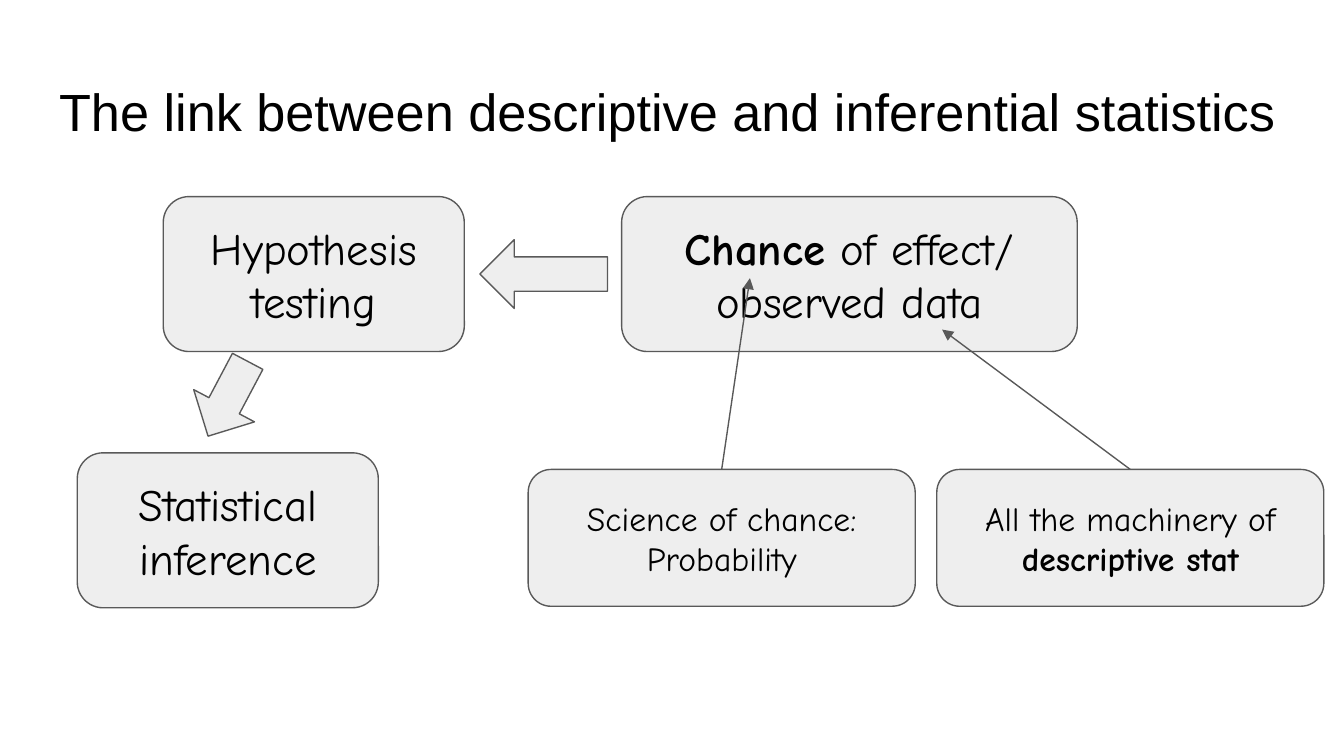
import pptx
import pptx.dml.color
import pptx.enum.shapes
import pptx.enum.text
import pptx.oxml.ns
import pptx.util
import lxml.etree

BLACK = pptx.dml.color.RGBColor(0x00, 0x00, 0x00)
PALE_GREY = pptx.dml.color.RGBColor(0xEE, 0xEE, 0xEE)
DARK_GREY = pptx.dml.color.RGBColor(0x59, 0x59, 0x59)
WHITE = pptx.dml.color.RGBColor(0xFF, 0xFF, 0xFF)
MARGIN = pptx.util.Inches(0.1)
OUTLINE = pptx.util.Pt(0.75)

deck = pptx.Presentation()
deck.slide_width = pptx.util.Inches(10)
deck.slide_height = deck.slide_width * 9 // 16
COLUMN = deck.slide_width / 100
ROW = deck.slide_height / 100

slide = deck.slides.add_slide(deck.slide_layouts[5])
slide.background.fill.solid()
slide.background.fill.fore_color.rgb = WHITE


def on_grid(column, row, columns, rows):
    return [int(n) for n in (column * COLUMN, row * ROW, columns * COLUMN, rows * ROW)]


def add_grey_shape(preset, cell):
    grey = slide.shapes.add_shape(preset, *on_grid(*cell))
    grey.shadow.inherit = False
    grey.fill.solid()
    grey.fill.fore_color.rgb = PALE_GREY
    grey.line.color.rgb = DARK_GREY
    grey.line.width = OUTLINE
    return grey


heading = slide.shapes.title
heading.left, heading.top, heading.width, heading.height = on_grid(3.4, 8.65, 93.2, 11.2)
heading_text = heading.text_frame
heading_text.text = "The link between descriptive and inferential statistics"
heading_text.word_wrap = True
heading_text.auto_size = pptx.enum.text.MSO_AUTO_SIZE.NONE
heading_text.vertical_anchor = pptx.enum.text.MSO_ANCHOR.TOP
heading_text.margin_left = heading_text.margin_right = MARGIN
heading_text.margin_top = heading_text.margin_bottom = MARGIN
heading_line = heading_text.paragraphs[0]
heading_line.alignment = pptx.enum.text.PP_ALIGN.LEFT
heading_line.font.name = "Arial"
heading_line.font.size = pptx.util.Pt(28)
heading_line.font.color.rgb = BLACK

UPPER, LOWER, INFERENCE = 26, 62.1, 59.9
TALL, SHORT = 20.5, 18.1
ideas = [
    ((12.15, UPPER, 22.4, TALL), 24, [("Hypothesis testing", False)]),
    ((46.25, UPPER, 33.9, TALL), 24, [("Chance", True), (" of effect/ observed data", False)]),
    ((39.3, LOWER, 28.8, SHORT), 18, [("Science of chance: Probability", False)]),
    ((69.7, LOWER, 28.8, SHORT), 18, [("All the machinery of ", False), ("descriptive stat", True)]),
    ((5.75, INFERENCE, 22.4, TALL), 24, [("Statistical inference", False)]),
]
for cell, size, phrases in ideas:
    idea = add_grey_shape(pptx.enum.shapes.MSO_SHAPE.ROUNDED_RECTANGLE, cell)
    wording = idea.text_frame
    wording.word_wrap = True
    wording.vertical_anchor = pptx.enum.text.MSO_ANCHOR.MIDDLE
    wording.margin_left = wording.margin_right = MARGIN
    wording.margin_top = wording.margin_bottom = MARGIN
    line = wording.paragraphs[0]
    line.alignment = pptx.enum.text.PP_ALIGN.CENTER
    line.font.name = "Comic Neue"
    line.font.size = pptx.util.Pt(size)
    line.font.color.rgb = BLACK
    for phrase, bold in phrases:
        run = line.add_run()
        run.text = phrase
        run.font.bold = bold

for cell, angle in [((35.7, 31.7, 9.5, 9.1), 180), ((13.8, 48.2, 6.3, 9.1), 117.9)]:
    step = add_grey_shape(pptx.enum.shapes.MSO_SHAPE.RIGHT_ARROW, cell)
    step.rotation = angle

for ends in [(53.7, LOWER, 55.8, 36.8), (84.1, LOWER, 70.1, 43.6)]:
    support = slide.shapes.add_connector(
        pptx.enum.shapes.MSO_CONNECTOR.STRAIGHT, *on_grid(*ends))
    support.line.color.rgb = DARK_GREY
    support.line.width = OUTLINE
    stroke = support.line._get_or_add_ln()
    lxml.etree.SubElement(stroke, pptx.oxml.ns.qn("a:tailEnd"), type="triangle")
    lxml.etree.SubElement(support._element.spPr, pptx.oxml.ns.qn("a:effectLst"))

deck.save("out.pptx")
